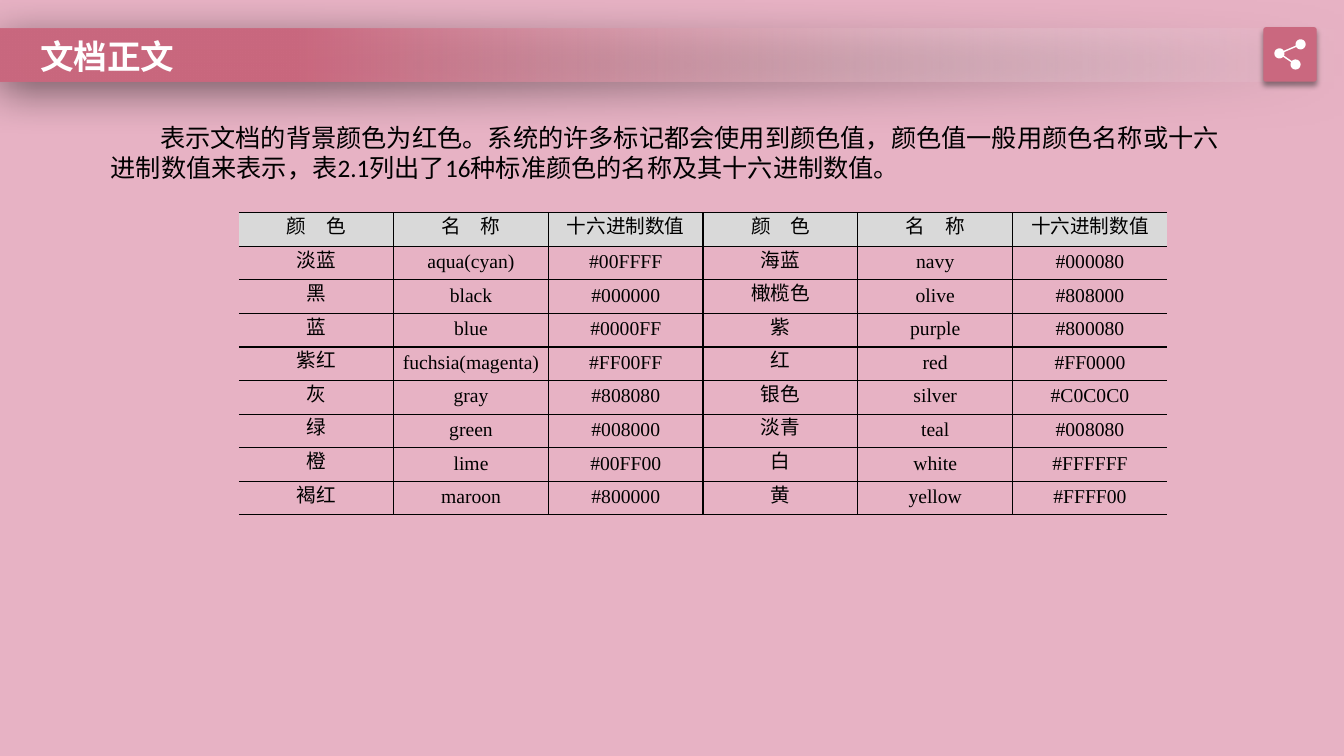
from dataclasses import dataclass
from math import atan2, cos, degrees, radians, sin

from lxml.etree import SubElement
from pptx import Presentation
from pptx.dml.color import RGBColor as RGB
from pptx.enum.shapes import MSO_SHAPE as SHAPE
from pptx.enum.text import MSO_ANCHOR as ANCHOR, MSO_AUTO_SIZE as AUTO, PP_ALIGN as ALIGN
from pptx.oxml import parse_xml
from pptx.oxml.ns import nsdecls, qn
from pptx.util import Inches, Pt


@dataclass(frozen=True)
class Theme:
    back: str = "E7B2C4"
    rose: str = "CA687F"
    pale: str = "F7FAFD"
    white: str = "FFFFFF"
    ink: str = "000000"
    head: str = "D9D9D9"
    sans: str = "Calibri"
    serif: str = "Times New Roman"
    title: int = 24
    body: int = 18
    cell: int = 14


THEME = Theme()

TITLE = "文档正文"
INTRO = (
    "表示文档的背景颜色为红色。系统的许多标记都会使用到颜色值，"
    "颜色值一般用颜色名称或十六进制数值来表示，"
    "表2.1列出了16种标准颜色的名称及其十六进制数值。"
)
HEADS = ["颜　色", "名　称", "十六进制数值"] * 2
ROWS = [
    ["淡蓝", "aqua(cyan)", "#00FFFF", "海蓝", "navy", "#000080"],
    ["黑", "black", "#000000", "橄榄色", "olive", "#808000"],
    ["蓝", "blue", "#0000FF", "紫", "purple", "#800080"],
    ["紫红", "fuchsia(magenta)", "#FF00FF", "红", "red", "#FF0000"],
    ["灰", "gray", "#808080", "银色", "silver", "#C0C0C0"],
    ["绿", "green", "#008000", "淡青", "teal", "#008080"],
    ["橙", "lime", "#00FF00", "白", "white", "#FFFFFF"],
    ["褐红", "maroon", "#800000", "黄", "yellow", "#FFFF00"],
]


def rgb(name):
    return RGB.from_string(name)


def style(para, face, size, color, bold=False):
    font = para.font
    font.name, font.size, font.bold = face, Pt(size), bold
    font.color.rgb = rgb(color)


def plain(shape, color):
    shape.fill.solid()
    shape.fill.fore_color.rgb = rgb(color)
    shape.line.fill.background()
    shape.shadow.inherit = False


def shade(shape, alpha, blur, dist, angle):
    """Give the shape an outer shadow; alpha is a percentage."""
    effects = shape.element.spPr.find(qn("a:effectLst"))
    effects.append(parse_xml(
        f'<a:outerShdw {nsdecls("a")} blurRad="{Pt(blur)}" dist="{Pt(dist)}" '
        f'dir="{angle * 60000}" algn="ctr" rotWithShape="0">'
        f'<a:srgbClr val="{THEME.ink}"><a:alpha val="{alpha * 1000}"/></a:srgbClr>'
        f'</a:outerShdw>'))


def write(slide, box, text, face, size, color, bold=False):
    shape = slide.shapes.add_textbox(*map(Inches, box))
    frame = shape.text_frame
    frame.word_wrap = True
    frame.auto_size = AUTO.SHAPE_TO_FIT_TEXT
    para = frame.paragraphs[0]
    para.text = text
    style(para, face, size, color, bold)
    return para


# Title band fading out to the right
def band(slide, box):
    left, top, width, height = box
    bar = slide.shapes.add_shape(SHAPE.RECTANGLE, *map(Inches, box))
    plain(bar, THEME.rose)
    bar.fill.gradient()
    bar.fill.gradient_angle = 180
    stops = bar.fill.gradient_stops
    for stop, place, color in zip(stops, (0, 0.78), (THEME.pale, THEME.rose)):
        stop.position = place
        stop.color.rgb = rgb(color)
    clear = bar.element.spPr.find(".//" + qn("a:srgbClr"))
    SubElement(clear, qn("a:alpha")).set("val", "0")
    shade(bar, 50, 31, 6, 97)
    write(slide, (left + 0.3, top + 0.03, 3.13, 0.5), TITLE,
          THEME.sans, THEME.title, THEME.white, bold=True)


# Share button: three dots joined by two thin links, as one outline
def share(slide, box):
    left, top, width, height = box
    tile = slide.shapes.add_shape(SHAPE.ROUNDED_RECTANGLE, *map(Inches, box))
    tile.adjustments[0] = 0.05
    plain(tile, THEME.rose)
    shade(tile, 40, 4, 3, 90)

    radius, gap = 0.05, 8
    hub, high, low = (
        (left + x, top + y) for x, y in ((0.16, 0.26), (0.37, 0.17), (0.32, 0.37)))

    def aim(dot):
        return degrees(atan2(dot[1] - hub[1], dot[0] - hub[0]))

    def arc(dot, start, end, steps=24):
        turns = (radians(start + (end - start) * i / steps) for i in range(steps + 1))
        return [(Inches(dot[0] + radius * cos(t)), Inches(dot[1] + radius * sin(t)))
                for t in turns]

    up, down = aim(high), aim(low)
    points = (
        arc(high, up + 180 + gap, up + 540 - gap)
        + arc(hub, up + gap, down - gap)
        + arc(low, down + 180 + gap, down + 540 - gap)
        + arc(hub, down + gap, up + 360 - gap))
    path = slide.shapes.build_freeform(*points[0])
    path.add_line_segments(points[1:], close=True)
    plain(path.convert_to_shape(), THEME.white)


# Opening paragraph with an indented first line
def intro(slide, box):
    para = write(slide, box, INTRO, THEME.sans, THEME.body, THEME.ink)
    props = para._p.get_or_add_pPr()
    props.set("marL", "0")
    props.set("indent", str(Inches(0.49)))


def edge(cell, lines):
    """Put borders before the fill; a width of 0 means no line."""
    props = cell._tc.get_or_add_tcPr()
    for i, (side, width) in enumerate(lines.items()):
        paint = (f'<a:solidFill><a:srgbClr val="{THEME.ink}"/></a:solidFill>'
                 if width else "<a:noFill/>")
        props.insert(i, parse_xml(
            f'<a:ln{side} {nsdecls("a")} w="{Pt(width)}">{paint}</a:ln{side}>'))


# Colour table, two halves parted by a heavier rule
def table(slide, box):
    data = [HEADS] + ROWS
    count = len(HEADS)
    grid = slide.shapes.add_table(len(data), count, *map(Inches, box)).table
    grid.first_row = grid.horz_banding = False
    rules = [0, 1, 1, 1.5, 1, 1, 0]
    for col in grid.columns:
        col.width = Inches(box[2] / count)
    for r, texts in enumerate(data):
        grid.rows[r].height = Inches(box[3] / len(data))
        for c, text in enumerate(texts):
            cell = grid.cell(r, c)
            cell.vertical_anchor = ANCHOR.MIDDLE
            cell.margin_left = cell.margin_right = Inches(0.07)
            cell.margin_top = cell.margin_bottom = 0
            if r == 0:
                cell.fill.solid()
                cell.fill.fore_color.rgb = rgb(THEME.head)
            else:
                cell.fill.background()
            edge(cell, {"L": rules[c], "R": rules[c + 1], "T": 1, "B": 1})
            para = cell.text_frame.paragraphs[0]
            para.text = text
            para.alignment = ALIGN.CENTER
            para.line_spacing = Pt(14)
            style(para, THEME.serif, THEME.cell, THEME.ink)


def main():
    deck = Presentation()
    deck.slide_width, deck.slide_height = Inches(13.33), Inches(7.5)
    slide = deck.slides.add_slide(deck.slide_layouts[6])
    slide.background.fill.solid()
    slide.background.fill.fore_color.rgb = rgb(THEME.back)
    band(slide, (0, 0.28, 13.33, 0.53))
    share(slide, (12.53, 0.27, 0.53, 0.54))
    intro(slide, (1, 1.16, 11.23, 0.71))
    table(slide, (2.37, 2.11, 9.21, 3))
    deck.save("out.pptx")


if __name__ == "__main__":
    main()
